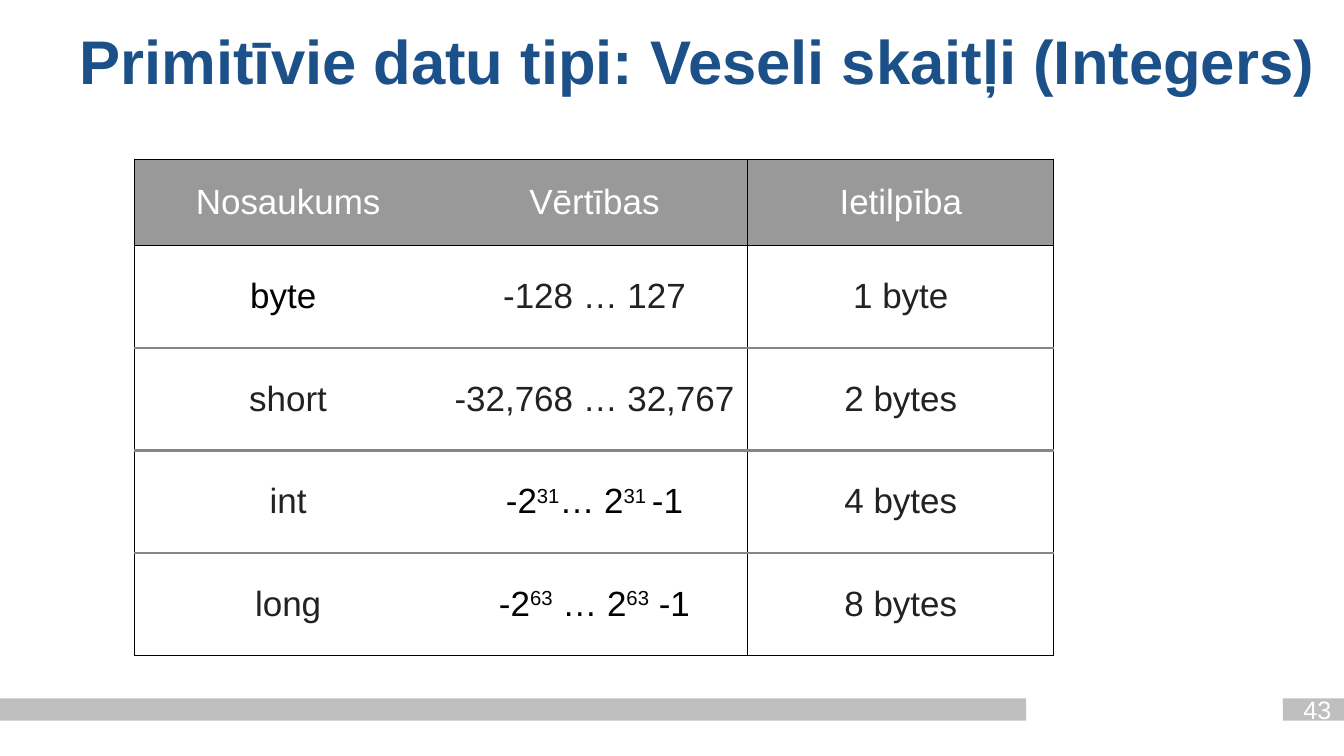
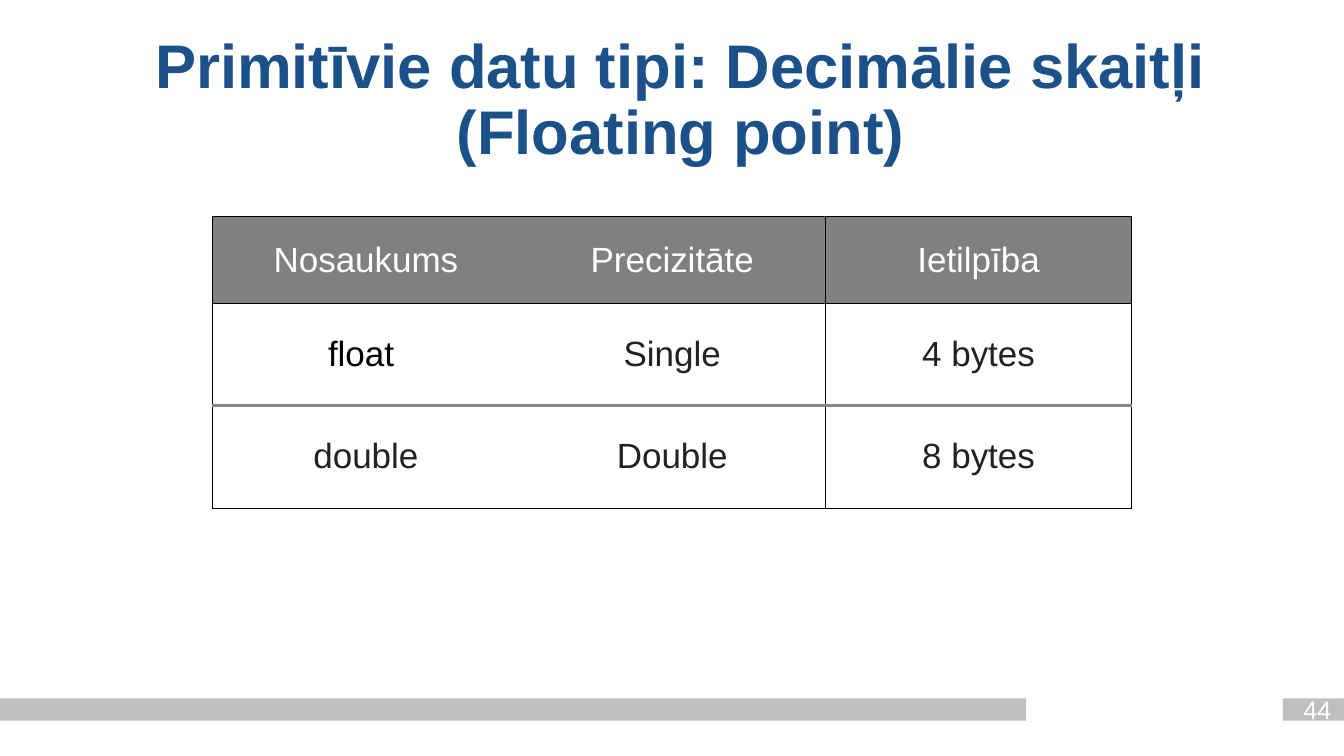
import dataclasses

import lxml.etree
import pptx
import pptx.dml.color
import pptx.enum.shapes
import pptx.enum.text
import pptx.oxml.ns
import pptx.util

Cm = pptx.util.Cm
Pt = pptx.util.Pt
qn = pptx.oxml.ns.qn
RGB = pptx.dml.color.RGBColor.from_string
CENTER = pptx.enum.text.PP_ALIGN.CENTER
MIDDLE = pptx.enum.text.MSO_ANCHOR.MIDDLE


@dataclasses.dataclass(frozen=True)
class Theme:
    font: str = "Arial"
    title: str = "1B5089"
    band: str = "BFBFBF"
    light: str = "FFFFFF"
    dark: str = "222222"
    black: str = "000000"
    rule: str = "838787"
    title_size: int = 44
    table_size: int = 25
    number_size: int = 18
    thin: float = 0.75
    thick: float = 2


theme = Theme()


def set_font(para, size, color, bold=False):
    para.alignment = CENTER
    para.font.name = theme.font
    para.font.size = Pt(size)
    para.font.bold = bold
    para.font.color.rgb = RGB(color)


def set_border(cell, side, color, width):
    line = lxml.etree.SubElement(cell._tc.get_or_add_tcPr(), qn(f"a:ln{side}"))
    if color is None:
        line.set("w", "0")
        lxml.etree.SubElement(line, qn("a:noFill"))
        return
    line.set("w", str(Pt(width)))
    fill = lxml.etree.SubElement(line, qn("a:solidFill"))
    lxml.etree.SubElement(fill, qn("a:srgbClr")).set("val", color)


bands = [(0, 25.86), (32.33, 1.54)]
column_width = 7.72
header_height, row_height = 2.18, 2.58
first_number = 43

pages = [
    {
        "title": "Primitīvie datu tipi: Veseli skaitļi (Integers)",
        "title_at": (1.32, 0.53),
        "table_at": (3.4, 4.01),
        "header_fill": "999999",
        "rows": [
            ["Nosaukums", "Vērtības", "Ietilpība"],
            ["byte ", "-128 … 127", "1 byte"],
            ["short", "-32,768 … 32,767", "2 bytes"],
            ["int", "-2^31^… 2^31 ^-1", "4 bytes"],
            ["long", "-2^63^ … 2^63^ -1", "8 bytes"],
        ],
    },
    {
        "title": "Primitīvie datu tipi: Decimālie skaitļi (Floating point)",
        "title_at": (0.89, 1.45),
        "table_at": (5.36, 5.46),
        "header_fill": "808080",
        "rows": [
            ["Nosaukums", "Precizitāte", "Ietilpība"],
            ["float ", "Single", "4 bytes"],
            ["double", "Double", "8 bytes"],
        ],
    },
]

deck = pptx.Presentation()
deck.slide_width, deck.slide_height = Cm(33.87), Cm(19.05)

for number, content in enumerate(pages, first_number):
    page = deck.slides.add_slide(deck.slide_layouts.get_by_name("Title Only"))

    for left, width in bands:
        band = page.shapes.add_shape(
            pptx.enum.shapes.MSO_SHAPE.RECTANGLE, Cm(left), Cm(17.6), Cm(width), Cm(0.56)
        )
        band.shadow.inherit = False
        band.fill.solid()
        band.fill.fore_color.rgb = RGB(theme.band)
        band.line.fill.background()

    title = page.shapes.title
    title.left, title.top = map(Cm, content["title_at"])
    title.width, title.height = Cm(32.54), Cm(2.21)
    frame = title.text_frame
    frame.text = content["title"]
    frame.word_wrap = True
    frame.auto_size = pptx.enum.text.MSO_AUTO_SIZE.NONE
    frame.vertical_anchor = MIDDLE
    frame.paragraphs[0].line_spacing = 0.9
    set_font(frame.paragraphs[0], theme.title_size, theme.title, bold=True)

    rows = content["rows"]
    last_row, last_column = len(rows) - 1, len(rows[0]) - 1
    left, top = map(Cm, content["table_at"])
    table = page.shapes.add_table(
        len(rows), len(rows[0]), left, top,
        Cm(column_width * len(rows[0])), Cm(header_height + row_height * last_row),
    ).table
    table.first_row = table.horz_banding = False
    for column in table.columns:
        column.width = Cm(column_width)

    for r, texts in enumerate(rows):
        table.rows[r].height = Cm(row_height if r else header_height)
        for c, text in enumerate(texts):
            cell = table.cell(r, c)
            cell.vertical_anchor = MIDDLE
            cell.margin_left = cell.margin_right = Cm(0.1)
            cell.margin_top = cell.margin_bottom = Cm(0.1)

            outline = (theme.black, theme.thin)
            divider = (theme.rule, theme.thick)
            set_border(cell, "L", *(outline if c != 1 else (None, 0)))
            set_border(cell, "R", *(outline if c != 0 else (None, 0)))
            set_border(cell, "T", *(outline if r < 2 else divider))
            set_border(cell, "B", *(outline if r in (0, last_row) else divider))

            if r == 0:
                cell.fill.solid()
                cell.fill.fore_color.rgb = RGB(content["header_fill"])
                color = theme.light
            else:
                cell.fill.background()
                color = theme.black if (r, c) == (1, 0) or "^" in text else theme.dark

            para = cell.text_frame.paragraphs[0]
            for part, piece in enumerate(text.split("^")):
                span = para.add_run()
                span.text = piece
                if part % 2:
                    span._r.get_or_add_rPr().set("baseline", "30000")
            set_font(para, theme.table_size, color)

    number_box = page.shapes.add_textbox(Cm(32.36), Cm(17.37), Cm(1.68), Cm(0.91))
    number_box.text_frame.word_wrap = True
    number_box.text_frame.text = str(number)
    set_font(number_box.text_frame.paragraphs[0], theme.number_size, theme.light)

deck.save("out.pptx")
